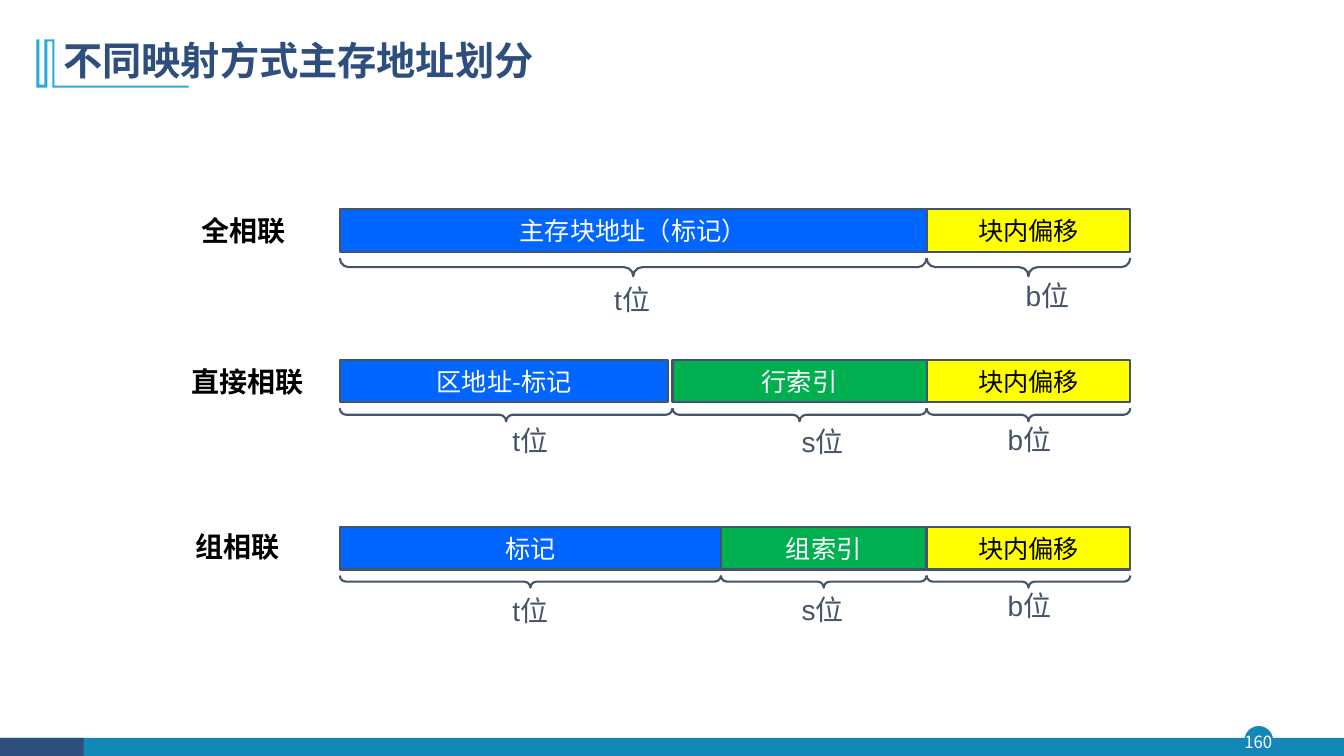
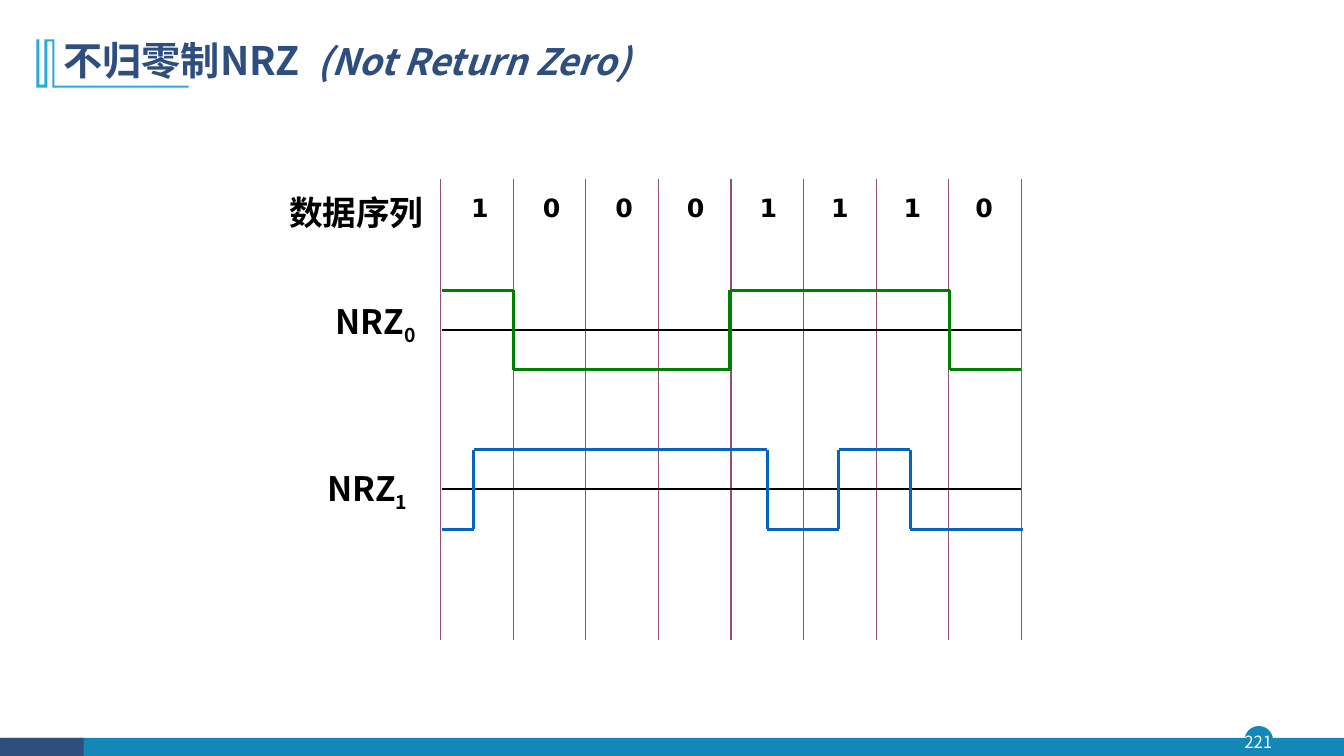
"""Two lecture slides: cache address fields and NRZ line coding."""
from dataclasses import dataclass
from itertools import pairwise
from typing import Any, Optional

from lxml import etree
from pptx import Presentation
from pptx import util as u
from pptx.dml import color as dml
from pptx.enum import shapes, text
from pptx.oxml import ns

PX = 9144
SANS, SANS_JP, ARIAL, DIGITS = "Noto Sans CJK SC", "Noto Sans CJK JP", "Arial", "DejaVu Sans"
NAVY, TEAL, SKY, SLATE = "2E4E7E", "1387B7", "28A9D6", "44546A"
BLUE, GREEN, YELLOW = "0066FF", "00B050", "FFFF00"
WHITE, BLACK, GRID = "FFFFFF", "000000", "954F72"
LEFT, CENTER, RIGHT = text.PP_ALIGN.LEFT, text.PP_ALIGN.CENTER, text.PP_ALIGN.RIGHT
RECT = shapes.MSO_SHAPE.RECTANGLE
ORNAMENT = [(54, 39), (54, 85), (187, 85), (187, 87), (52, 87), (52, 41), (47, 41), (47, 87),
            (36, 87), (36, 39), (39, 39), (39, 84), (44, 84), (44, 39)]


@dataclass(frozen=True)
class Run:
    """A stretch of text in one format."""
    words: str
    size: int
    font: str
    ink: str
    bold: bool = False
    italic: bool = False
    baseline: int = 0
    spacing: int = 0


@dataclass(frozen=True)
class Field:
    """One part of an address with its bit count below."""
    label: str
    left: int
    width: int
    fill: str
    ink: str
    bits: str
    bits_x: int
    bits_y: int


@dataclass(frozen=True)
class Address:
    """One mapping scheme and its address fields."""
    name: str
    name_left: int
    name_top: int
    top: int
    height: int
    brace_depth: int
    fields: tuple[Field, ...]


@dataclass(frozen=True)
class Wave:
    """A two-level signal that flips at each edge."""
    digit: str
    label_left: int
    label_top: int
    high: int
    low: int
    starts_high: bool
    start: int
    edges: tuple[int, ...]
    end: int
    ink: str


ADDRESS_END = 1121
ADDRESSES = (
    Address("全相联", 190, 206, 207, 43, 18, (
        Field("主存块地址（标记）", 337, 582, BLUE, WHITE, "t位", 627, 297),
        Field("块内偏移", 919, 202, YELLOW, BLACK, "b位", 1039, 293))),
    Address("直接相联", 180, 356, 357, 42, 13, (
        Field("区地址-标记", 337, 326, BLUE, WHITE, "t位", 526, 437),
        Field("行索引", 667, 252, GREEN, WHITE, "s位", 816, 438),
        Field("块内偏移", 919, 202, YELLOW, BLACK, "b位", 1021, 436))),
    Address("组相联", 184, 520, 523, 42, 12, (
        Field("标记", 337, 378, BLUE, WHITE, "t位", 526, 605),
        Field("组索引", 715, 204, GREEN, WHITE, "s位", 816, 604),
        Field("块内偏移", 919, 202, YELLOW, BLACK, "b位", 1021, 601))),
)
WAVES = (
    Wave("0", 249, 296, 288, 367, True, 438, (509, 724, 942), 1013, "008000"),
    Wave("1", 241, 462, 446, 525, False, 438, (470, 761, 832, 903), 1015, "0563C1"),
)


def px(length: float) -> u.Emu:
    """Turn px into EMU."""
    return u.Emu(round(length * PX))


def rgb(value: str) -> dml.RGBColor:
    """Turn a hex string into a colour."""
    return dml.RGBColor.from_string(value)


def write(frame: Any, runs: list[Run], align: Any, inset: int = 0) -> Any:
    """Fill a frame with one paragraph of runs and return the paragraph."""
    frame.word_wrap = True
    frame.auto_size = text.MSO_AUTO_SIZE.NONE
    frame.vertical_anchor = text.MSO_ANCHOR.MIDDLE
    frame.margin_left = frame.margin_right = px(inset)
    frame.margin_top = frame.margin_bottom = 0
    para = frame.paragraphs[0]
    para.alignment = align
    for run in runs:
        span = para.add_run()
        span.text = run.words
        span.font.size = u.Pt(run.size)
        span.font.bold, span.font.italic = run.bold, run.italic
        span.font.color.rgb = rgb(run.ink)
        span.font.name = run.font
        props = span._r.get_or_add_rPr()
        east = etree.SubElement(props, ns.qn("a:ea"))
        east.set("typeface", SANS if run.font == ARIAL else run.font)
        if run.baseline:
            props.set("baseline", str(run.baseline))
        if run.spacing:
            props.set("spc", str(run.spacing))
    return para


def add_text(page: Any, left: float, top: float, width: float, height: float,
             runs: list[Run], align: Any = CENTER, inset: int = 0) -> None:
    """Add a text box."""
    box = page.shapes.add_textbox(px(left), px(top), px(width), px(height))
    write(box.text_frame, runs, align, inset)


def paint(shape: Any, fill: Optional[str], line: Optional[str] = None, weight: float = 1.5) -> None:
    """Set fill and line, and drop the shadow."""
    shape.shadow.inherit = False
    if fill:
        shape.fill.solid()
        shape.fill.fore_color.rgb = rgb(fill)
    else:
        shape.fill.background()
    if line:
        shape.line.color.rgb = rgb(line)
        shape.line.width = u.Pt(weight)
    else:
        shape.line.fill.background()


def add_shape(page: Any, kind: Any, left: float, top: float, width: float, height: float,
              fill: Optional[str], line: Optional[str] = None, weight: float = 1.5) -> Any:
    """Add a painted preset shape."""
    shape = page.shapes.add_shape(kind, px(left), px(top), px(width), px(height))
    paint(shape, fill, line, weight)
    return shape


def add_ornament(page: Any) -> None:
    """Add the angular mark beside the title."""
    builder = page.shapes.build_freeform(*ORNAMENT[0], scale=PX)
    builder.add_line_segments(ORNAMENT[1:])
    paint(builder.convert_to_shape(), SKY)


def add_line(page: Any, x1: int, y1: int, x2: int, y2: int, ink: str, weight: float) -> None:
    """Add a straight line without a shadow."""
    line = page.shapes.add_connector(shapes.MSO_CONNECTOR.STRAIGHT, px(x1), px(y1), px(x2), px(y2))
    line.line.color.rgb = rgb(ink)
    line.line.width = u.Pt(weight)
    etree.SubElement(line._element.spPr, ns.qn("a:effectLst"))


def add_brace(page: Any, left: int, top: int, width: int, depth: int) -> None:
    """Add a brace that points down."""
    brace = add_shape(page, shapes.MSO_SHAPE.LEFT_BRACE, left + (width - depth) / 2,
                      top - (width - depth) / 2, depth, width, None, SLATE)
    brace.rotation = 270
    brace.adjustments[0] = 0.5


def add_page(deck: Any, number: str, title: list[Run]) -> Any:
    """Add a slide with its title, ornament and footer."""
    page = deck.slides.add_slide(deck.slide_layouts[5])
    add_shape(page, shapes.MSO_SHAPE.OVAL, 1235, 721, 27, 27, TEAL, TEAL, 1)
    add_shape(page, RECT, 1, 732, 1332, 19, TEAL)
    add_shape(page, RECT, 0, 732, 83, 19, NAVY)
    add_text(page, 1232, 720, 32, 31, [Run(number, 12, SANS, WHITE)])
    add_ornament(page)
    head = page.shapes.title
    head.left, head.top, head.width, head.height = px(53), px(28), px(1150), px(68)
    write(head.text_frame, title, LEFT, 10).line_spacing = 0.9
    return page


def add_address(page: Any, row: Address) -> None:
    """Draw one mapping scheme: name, fields, braces and bit counts."""
    add_text(page, row.name_left, row.name_top, 142, 44,
             [Run(row.name, 20, SANS, BLACK, bold=True)], LEFT, 10)
    ends = [field.left for field in row.fields[1:]] + [ADDRESS_END]
    for field, end in zip(row.fields, ends):
        box = add_shape(page, RECT, field.left, row.top, field.width, row.height, field.fill, SLATE)
        write(box.text_frame, [Run(field.label, 18, SANS, field.ink)], CENTER)
        add_brace(page, field.left, row.top + row.height + 6, end - field.left, row.brace_depth)
        add_text(page, field.bits_x - 55, field.bits_y - 20, 110, 40,
                 [Run(field.bits, 20, ARIAL, SLATE)])


def add_wave(page: Any, wave: Wave) -> None:
    """Draw one signal with its axis and label."""
    axis = (wave.high + wave.low) // 2
    add_line(page, 438, axis, 1013, axis, BLACK, 1.5)
    level, other = (wave.high, wave.low) if wave.starts_high else (wave.low, wave.high)
    points = [(wave.start, level)]
    for edge in wave.edges:
        points += [(edge, level), (edge, other)]
        level, other = other, level
    points.append((wave.end, level))
    for begin, finish in pairwise(points):
        add_line(page, *begin, *finish, wave.ink, 2.25)
    add_text(page, wave.label_left, wave.label_top, 173, 50,
             [Run("NRZ", 24, SANS_JP, BLACK, bold=True),
              Run(wave.digit, 24, SANS_JP, BLACK, bold=True, baseline=-25000)], RIGHT, 10)


def build_mapping(deck: Any) -> None:
    """Build the address mapping slide."""
    page = add_page(deck, "160", [Run("不同映射方式主存地址划分", 28, SANS, NAVY, bold=True)])
    for row in ADDRESSES:
        add_address(page, row)


def build_coding(deck: Any) -> None:
    """Build the line coding slide."""
    page = add_page(deck, "221", [
        Run("不归零制NRZ", 28, SANS, NAVY, bold=True),
        Run(" ", 28, SANS, NAVY, bold=True, spacing=630),
        Run("(Not Return Zero)", 26, SANS, NAVY, bold=True, italic=True)])
    add_text(page, 257, 185, 173, 50, [Run("数据序列", 24, SANS_JP, BLACK, bold=True)], RIGHT, 10)
    for column in range(9):
        x = 437 + 72 * column
        add_line(page, x, 178, x, 635, GRID, 0.75)
    for column, digit in enumerate("10001110"):
        add_text(page, 457 + 143 * column // 2, 186, 38, 40,
                 [Run(digit, 18, DIGITS, BLACK, bold=True)])
    for wave in WAVES:
        add_wave(page, wave)


def main() -> None:
    """Build and save the deck."""
    deck = Presentation()
    deck.slide_width, deck.slide_height = px(1333), px(750)
    build_mapping(deck)
    build_coding(deck)
    deck.save("out.pptx")


if __name__ == "__main__":
    main()
